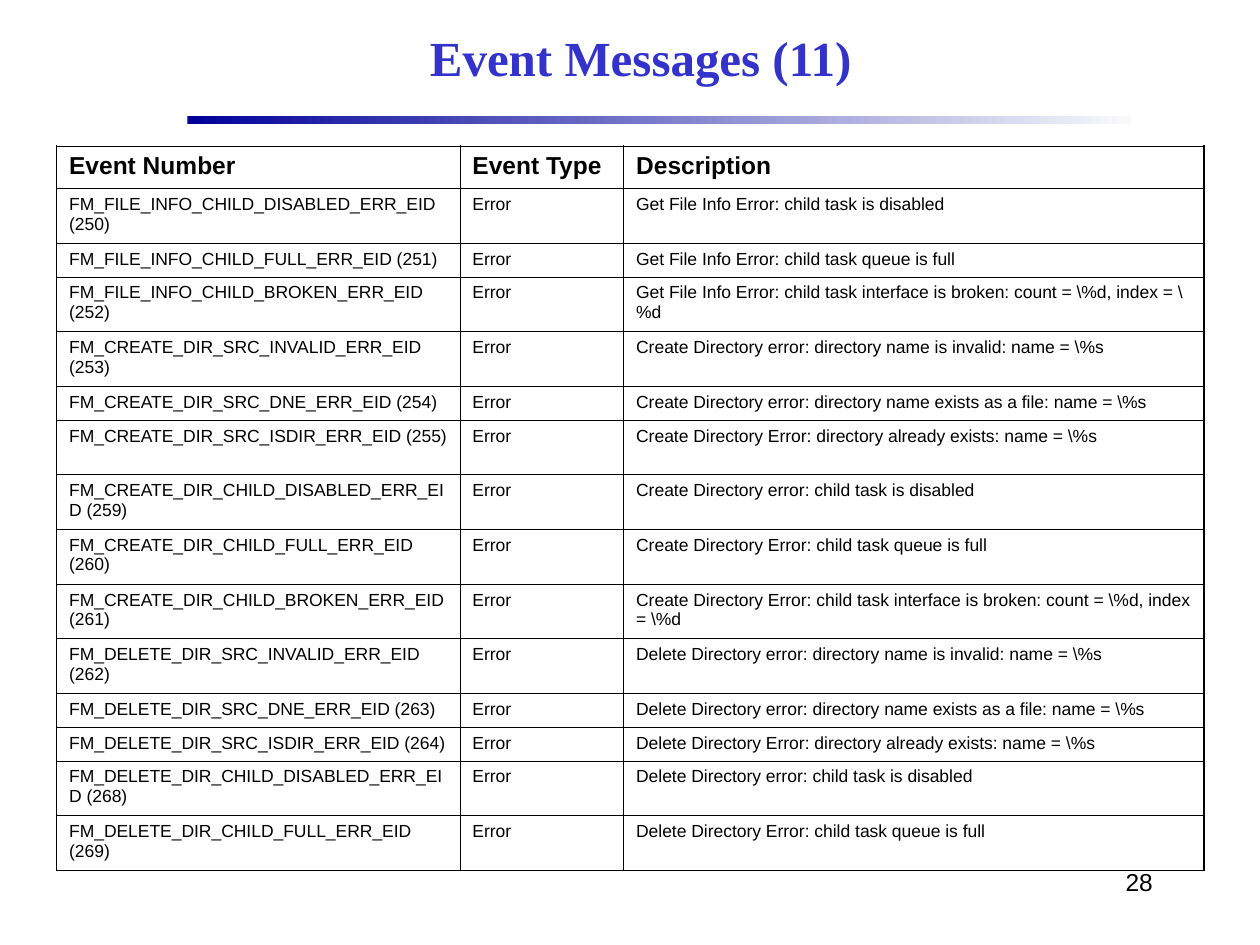
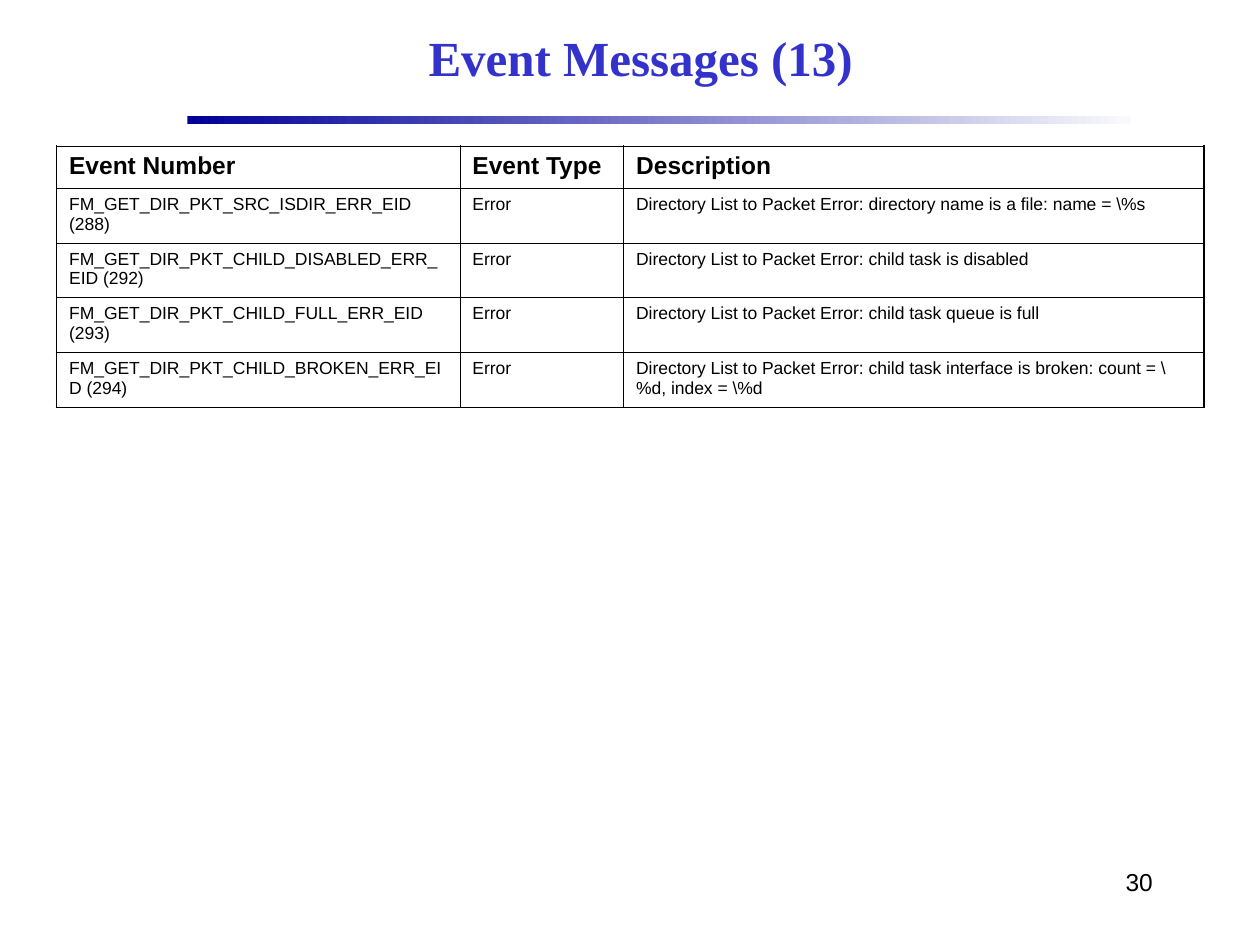
from lxml import etree
from pptx import Presentation
from pptx.dml.color import RGBColor
from pptx.enum.shapes import MSO_SHAPE
from pptx.enum.text import MSO_ANCHOR, PP_ALIGN
from pptx.oxml.ns import qn
from pptx.util import Cm, Pt

RECT = MSO_SHAPE.RECTANGLE
TOP, MIDDLE = MSO_ANCHOR.TOP, MSO_ANCHOR.MIDDLE
LEFT, CENTER, RIGHT = PP_ALIGN.LEFT, PP_ALIGN.CENTER, PP_ALIGN.RIGHT

BLACK = RGBColor(0x00, 0x00, 0x00)
TITLE_BLUE = RGBColor(0x33, 0x33, 0xCC)
BAND_START = RGBColor(0x00, 0x00, 0x99)
BAND_END = RGBColor(0xF9, 0xF9, 0xFD)

TITLE = {"name": "Times New Roman", "size": Pt(28), "bold": True}
HEADER = {"name": "Arial", "size": Pt(14), "bold": True}
BODY = {"name": "Arial", "size": Pt(10), "bold": False}
NUMBER = {"name": "Arial", "size": Pt(14), "bold": False}

COLUMN_WIDTHS = (Cm(8.13), Cm(3.3), Cm(11.7))
HEADER_HEIGHT, ONE_LINE, TWO_LINES = Cm(0.84), Cm(0.68), Cm(1.1)
THIN, THICK = Pt(0.45), Pt(1.08)
HEADINGS = ("Event Number", "Event Type", "Description")
ONE_LINE_EVENTS = {251, 254, 263, 264}

# Slide number, title number, events as (name, number, description)
EVENT_SLIDES = [
    (28, 11, [
        ("FM_FILE_INFO_CHILD_DISABLED_ERR_EID", 250,
         "Get File Info Error: child task is disabled"),
        ("FM_FILE_INFO_CHILD_FULL_ERR_EID", 251,
         "Get File Info Error: child task queue is full"),
        ("FM_FILE_INFO_CHILD_BROKEN_ERR_EID", 252,
         r"Get File Info Error: child task interface is broken: count = \%d, index = \%d"),
        ("FM_CREATE_DIR_SRC_INVALID_ERR_EID", 253,
         r"Create Directory error: directory name is invalid: name = \%s"),
        ("FM_CREATE_DIR_SRC_DNE_ERR_EID", 254,
         r"Create Directory error: directory name exists as a file: name = \%s"),
        ("FM_CREATE_DIR_SRC_ISDIR_ERR_EID", 255,
         r"Create Directory Error: directory already exists: name = \%s"),
        ("FM_CREATE_DIR_CHILD_DISABLED_ERR_EID", 259,
         "Create Directory error: child task is disabled"),
        ("FM_CREATE_DIR_CHILD_FULL_ERR_EID", 260,
         "Create Directory Error: child task queue is full"),
        ("FM_CREATE_DIR_CHILD_BROKEN_ERR_EID", 261,
         r"Create Directory Error: child task interface is broken: count = \%d, index = \%d"),
        ("FM_DELETE_DIR_SRC_INVALID_ERR_EID", 262,
         r"Delete Directory error: directory name is invalid: name = \%s"),
        ("FM_DELETE_DIR_SRC_DNE_ERR_EID", 263,
         r"Delete Directory error: directory name exists as a file: name = \%s"),
        ("FM_DELETE_DIR_SRC_ISDIR_ERR_EID", 264,
         r"Delete Directory Error: directory already exists: name = \%s"),
        ("FM_DELETE_DIR_CHILD_DISABLED_ERR_EID", 268,
         "Delete Directory error: child task is disabled"),
        ("FM_DELETE_DIR_CHILD_FULL_ERR_EID", 269,
         "Delete Directory Error: child task queue is full"),
    ]),
    (30, 13, [
        ("FM_GET_DIR_PKT_SRC_ISDIR_ERR_EID", 288,
         r"Directory List to Packet Error: directory name is a file: name = \%s"),
        ("FM_GET_DIR_PKT_CHILD_DISABLED_ERR_EID", 292,
         "Directory List to Packet Error: child task is disabled"),
        ("FM_GET_DIR_PKT_CHILD_FULL_ERR_EID", 293,
         "Directory List to Packet Error: child task queue is full"),
        ("FM_GET_DIR_PKT_CHILD_BROKEN_ERR_EID", 294,
         r"Directory List to Packet Error: child task interface is broken: count = \%d, index = \%d"),
    ]),
]


class EventDeck:
    """Holds the presentation, the current slide and the shared style."""

    def __init__(self):
        self.prs = Presentation()
        self.prs.slide_width, self.prs.slide_height = Cm(25.4), Cm(19.05)
        self.s = None

    def new_slide(self, title, number):
        self.s = self.prs.slides.add_slide(self.prs.slide_layouts[6])
        self.band()
        self.text_box(number, (18.21, 17.35, 5.28, 1.27), NUMBER, BLACK, RIGHT, TOP)
        self.text_box(title, (3.81, 0.2, 18.21, 1.91), TITLE, TITLE_BLUE, CENTER, MIDDLE)

    def band(self):
        sp = self.s.shapes.add_shape(RECT, Cm(3.78), Cm(2.33), Cm(19.02), Cm(0.18))
        sp.shadow.inherit = False
        sp.line.fill.background()
        sp.fill.gradient()
        sp.fill.gradient_angle = 0
        for stop, color in zip(sp.fill.gradient_stops, (BAND_START, BAND_END)):
            stop.color.rgb = color

    def text_box(self, text, box, style, color, align, anchor):
        tf = self.s.shapes.add_textbox(*map(Cm, box)).text_frame
        tf.word_wrap = True
        tf.vertical_anchor = anchor
        self.add_text(tf, text, style, color, align)

    def add_text(self, tf, text, style, color=BLACK, align=LEFT):
        p = tf.paragraphs[0]
        p.alignment = align
        r = p.add_run()
        r.text = text
        for name, value in style.items():
            setattr(r.font, name, value)
        r.font.color.rgb = color

    def event_table(self, events):
        rows = [HEADINGS]
        heights = [HEADER_HEIGHT]
        for name, number, description in events:
            rows.append((f"{name} ({number})", "Error", description))
            heights.append(ONE_LINE if number in ONE_LINE_EVENTS else TWO_LINES)
        table = self.s.shapes.add_table(
            len(rows), len(HEADINGS), Cm(1.14), Cm(2.95),
            sum(COLUMN_WIDTHS), sum(heights)).table
        table.first_row = table.horz_banding = False
        for column, width in zip(table.columns, COLUMN_WIDTHS):
            column.width = width
        for i, (texts, height) in enumerate(zip(rows, heights)):
            table.rows[i].height = height
            for j, text in enumerate(texts):
                cell = table.cell(i, j)
                self.add_text(cell.text_frame, text, BODY if i else HEADER)
                cell.fill.background()
                self.borders(cell, {
                    "L": THIN if j else THICK,
                    "R": THICK if j == len(HEADINGS) - 1 else THIN,
                    "T": THIN if i else THICK,
                    "B": THIN,
                })

    def borders(self, cell, widths):
        """Put the side lines ahead of the fill, as the schema orders them."""
        tc_pr = cell._tc.get_or_add_tcPr()
        for index, (side, width) in enumerate(widths.items()):
            line = etree.Element(qn(f"a:ln{side}"), w=str(int(width)))
            fill = etree.SubElement(line, qn("a:solidFill"))
            etree.SubElement(fill, qn("a:srgbClr"), val=str(BLACK))
            tc_pr.insert(index, line)


def main():
    deck = EventDeck()
    for slide_number, part, events in EVENT_SLIDES:
        deck.new_slide(f"Event Messages ({part})", str(slide_number))
        deck.event_table(events)
    deck.prs.save("out.pptx")


if __name__ == "__main__":
    main()
